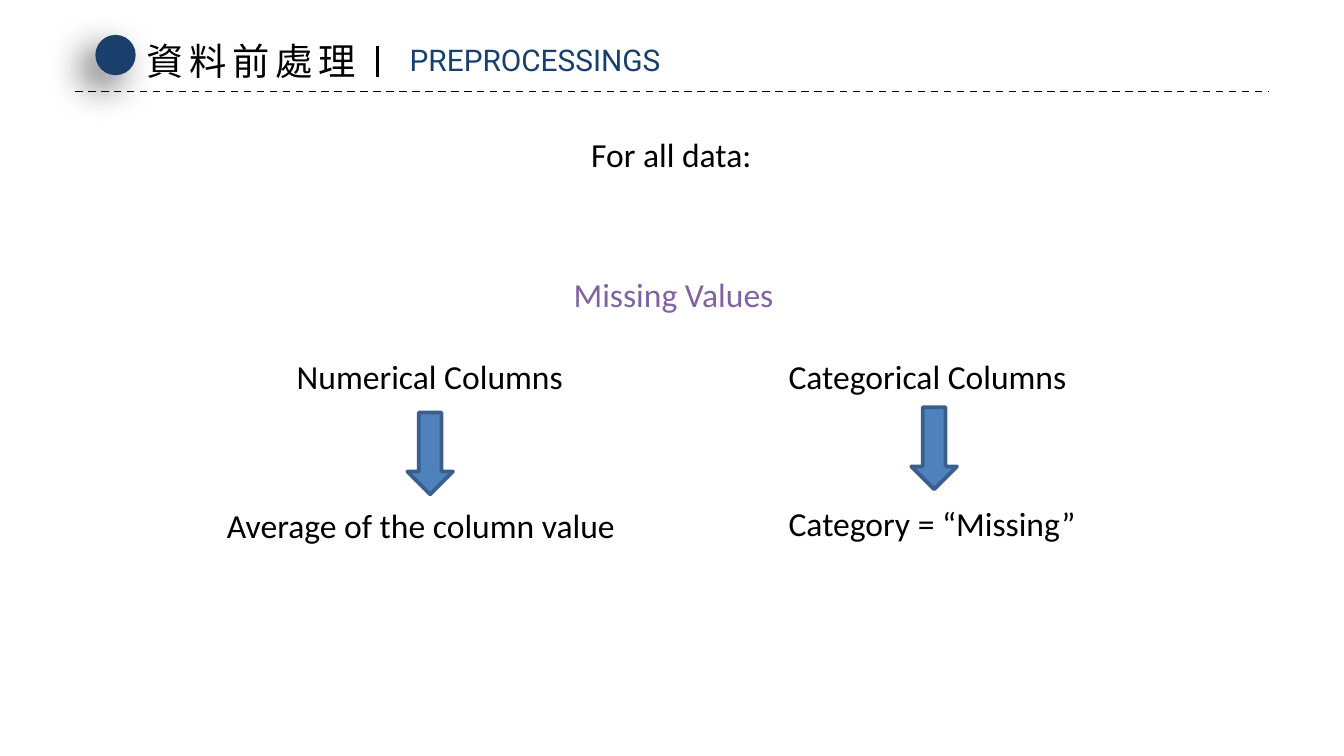
import pptx
import pptx.dml.color
import pptx.enum.dml
import pptx.enum.shapes
import pptx.enum.text
import pptx.oxml
import pptx.oxml.ns
import pptx.util

Pt = pptx.util.Pt
Color = pptx.dml.color.RGBColor.from_string
Shape = pptx.enum.shapes.MSO_SHAPE

THEME = {
    "black": "000000", "navy": "1A3F6C", "purple": "8064A2",
    "arrow": "4F81BD", "arrow_edge": "3A5F8C",
    "body": {"name": "Calibri", "size": Pt(18)},
    "heading": {"name": "Noto Sans CJK SC", "size": Pt(20)},
    "subheading": {"name": "Roboto", "size": Pt(16)},
}

# Boxes are left, top, width, height in points.
HEADING = ("資料前處理", (71.3, 16.6, 130.3, 31.7), "heading", "black")
TEXTS = [
    ("PREPROCESSINGS", (212.4, 18.7, 159.1, 26.6), "subheading", "navy"),
    ("For all data:", (309.6, 68.4, 100.8, 28.8), "body", "black"),
    ("Missing Values", (300.2, 143.3, 128.2, 28.8), "body", "purple"),
]
# Each branch: column type with its box, arrow position, treatment with its box.
BRANCHES = [
    ("Numerical Columns", (151.9, 187.2, 185, 28.8), (218.2, 221),
     "Average of the column value", (114.5, 267.1, 234.7, 28.8)),
    ("Categorical Columns", (415.4, 187.2, 185, 28.8), (488.2, 218.2),
     "Category = “Missing”", (415.4, 265.7, 179.3, 28.8)),
]
ARROW_SIZE = (24.5, 43.9)
DOT = (51.1, 18.7, 21.6, 21.6)
RULES = [  # start, end, width, dash
    ((40.3, 49), (679.7, 49), 1, pptx.enum.dml.MSO_LINE.DASH),
    ((202.3, 24.5), (202.3, 41), 1.5, None),
]
SHADOW = (
    '<a:outerShdw blurRad="254000" dist="127000" dir="8100000" algn="tr" '
    'rotWithShape="0"><a:srgbClr val="000000"><a:alpha val="60000"/>'
    '</a:srgbClr></a:outerShdw>'
)


def points(values):
    return [Pt(value) for value in values]


def assign(target, values):
    for name, value in values.items():
        setattr(target, name, value)


def set_effects(shape, content=""):
    namespace = pptx.oxml.ns.nsdecls("a")
    effects = f"<a:effectLst {namespace}>{content}</a:effectLst>"
    shape._element.spPr.append(pptx.oxml.parse_xml(effects))


def write(box, text, place, style, color, wrap=True):
    assign(box, dict(zip(("left", "top", "width", "height"), points(place))))
    frame = box.text_frame
    assign(frame, {
        "auto_size": pptx.enum.text.MSO_AUTO_SIZE.SHAPE_TO_FIT_TEXT,
        "word_wrap": wrap,
        "vertical_anchor": pptx.enum.text.MSO_ANCHOR.TOP,
    })
    para = frame.paragraphs[0]
    para.alignment = pptx.enum.text.PP_ALIGN.LEFT
    span = para.add_run()
    span.text = text
    assign(span.font, THEME[style])
    span.font.color.rgb = Color(THEME[color])
    return span


def add_text(page, text, place, style, color):
    box = page.shapes.add_textbox(*points(place))
    write(box, text, place, style, color, wrap=style == "body")


def add_solid(page, kind, place, fill, edge=None):
    shape = page.shapes.add_shape(kind, *points(place))
    shape.fill.solid()
    shape.fill.fore_color.rgb = Color(THEME[fill])
    if edge:
        shape.line.color.rgb = Color(THEME[edge])
        shape.line.width = Pt(2)
    else:
        shape.line.fill.background()
    return shape


def add_rule(page, start, end, width, dash):
    rule = page.shapes.add_connector(
        pptx.enum.shapes.MSO_CONNECTOR.STRAIGHT, *points(start + end))
    rule.line.color.rgb = Color(THEME["black"])
    assign(rule.line, {"width": Pt(width), "dash_style": dash})
    set_effects(rule)


def add_heading(page):
    span = write(page.shapes.title, *HEADING, wrap=False)
    properties = span.font._element
    properties.set("spc", "300")
    east_asian = pptx.oxml.parse_xml(
        f'<a:ea {pptx.oxml.ns.nsdecls("a")} typeface="{THEME["heading"]["name"]}"/>')
    properties.find(pptx.oxml.ns.qn("a:latin")).addnext(east_asian)


def main():
    deck = pptx.Presentation()
    assign(deck, {"slide_width": Pt(720), "slide_height": Pt(405)})
    page = deck.slides.add_slide(deck.slide_layouts[5])

    set_effects(add_solid(page, Shape.OVAL, DOT, "navy"), SHADOW)
    add_heading(page)
    for rule in RULES:
        add_rule(page, *rule)
    for text in TEXTS:
        add_text(page, *text)
    for columns, columns_box, arrow_at, treatment, treatment_box in BRANCHES:
        add_text(page, columns, columns_box, "body", "black")
        arrow = add_solid(page, Shape.DOWN_ARROW, arrow_at + ARROW_SIZE,
                          "arrow", "arrow_edge")
        arrow.shadow.inherit = False
        add_text(page, treatment, treatment_box, "body", "black")

    deck.save("out.pptx")


if __name__ == "__main__":
    main()
